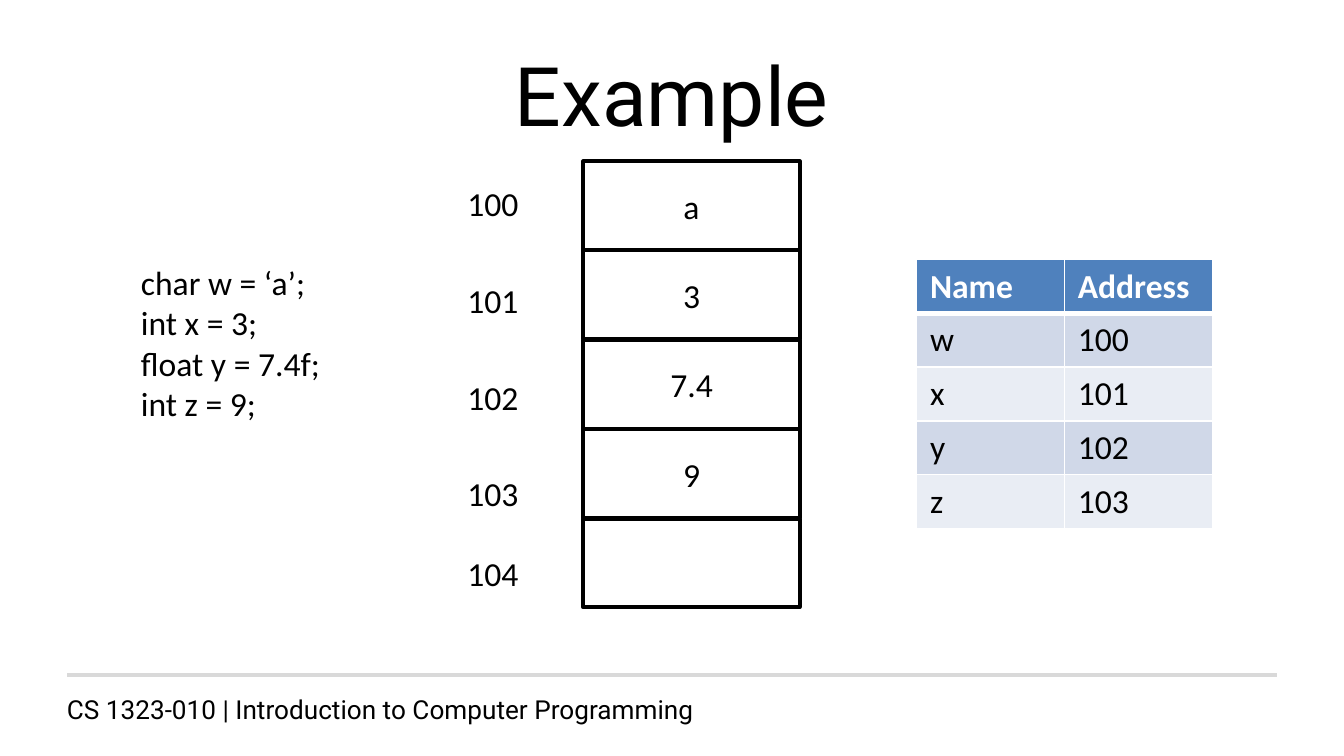
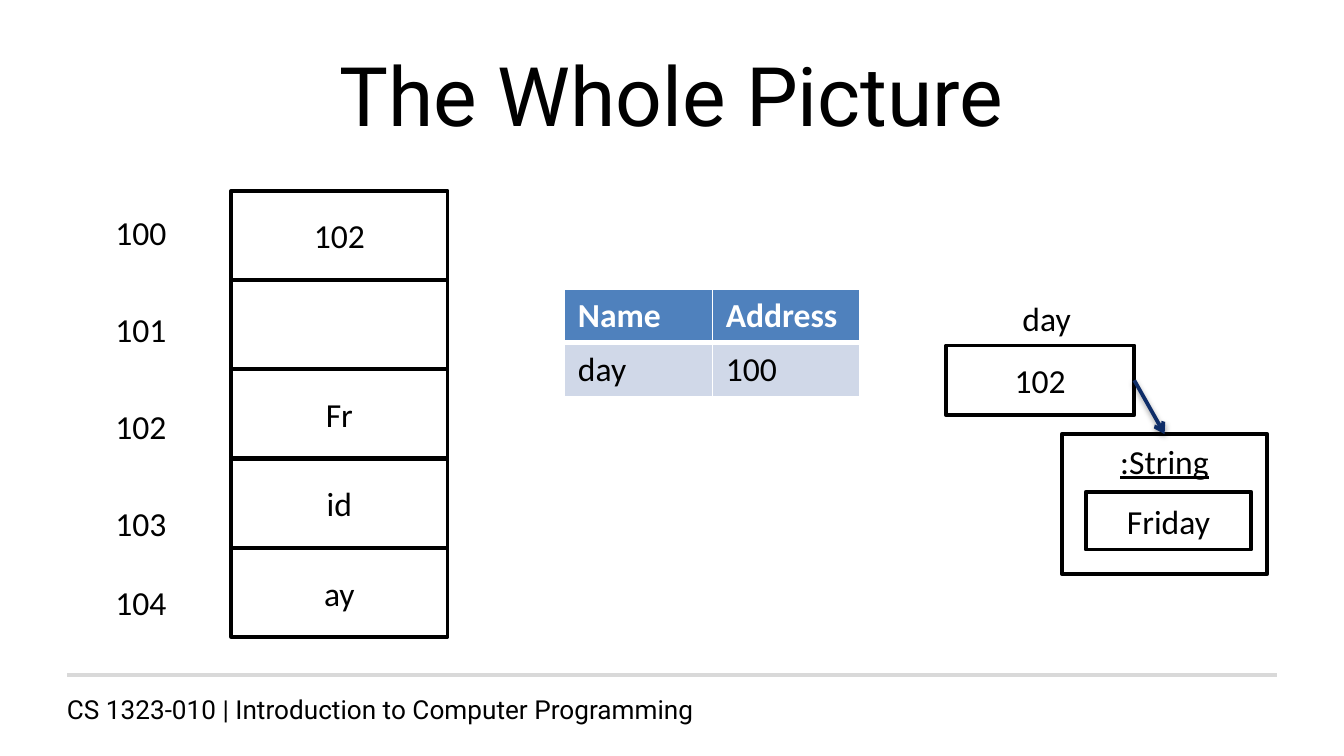
from dataclasses import dataclass

import lxml.etree
import pptx
import pptx.dml.color
import pptx.enum.shapes
import pptx.enum.text
import pptx.oxml
import pptx.oxml.ns
import pptx.presentation
import pptx.shapes.autoshape
import pptx.shapes.connector
import pptx.slide
import pptx.table
import pptx.text.text
import pptx.util

Inches = pptx.util.Inches
Pt = pptx.util.Pt
Align = pptx.enum.text.PP_ALIGN
Anchor = pptx.enum.text.MSO_ANCHOR
qn = pptx.oxml.ns.qn

BLACK, WHITE = "000000", "FFFFFF"
GREY, NAVY, BLUE = "D9D9D9", "0E2D68", "4F81BD"
BANDS = ("D0D8E8", "E9EDF4")
HEAD_FONT, BODY_FONT = "Roboto", "Calibri"
BODY_SIZE = 18
FOOTER = "CS 1323-010 | Introduction to Computer Programming"
LABELS = ("100", "101", "102", "103", "104")
CELL_WIDTH, CELL_HEIGHT = 1.61, 0.66
CELL_STEP = 2.66 / 4
COL_WIDTH, ROW_HEIGHT = 1.1, 0.4


@dataclass(frozen=True)
class Area:
    """A place on the slide, in inches."""
    left: float
    top: float
    width: float
    height: float

    def spread(self) -> list[pptx.util.Length]:
        """Return the four lengths in the order python-pptx wants."""
        return [Inches(n) for n in (self.left, self.top, self.width, self.height)]


@dataclass(frozen=True)
class Box:
    """A framed box with a short text."""
    area: Area
    text: str = ""
    anchor: Anchor = Anchor.MIDDLE
    underline: bool = False


@dataclass(frozen=True)
class Stack:
    """A column of memory cells with its address labels."""
    left: float
    top: float
    values: tuple[str, ...]


@dataclass(frozen=True)
class Grid:
    """A table of names and addresses."""
    left: float
    top: float
    rows: tuple[tuple[str, str], ...]


def shade(code: str) -> pptx.dml.color.RGBColor:
    """Turn a hex string into a colour."""
    return pptx.dml.color.RGBColor.from_string(code)


def style(para: pptx.text.text._Paragraph, size: float = BODY_SIZE,
          face: str = BODY_FONT, code: str = BLACK) -> None:
    """Set the font of a whole paragraph."""
    para.font.size = Pt(size)
    para.font.name = face
    para.font.color.rgb = shade(code)


def add_text(slide: pptx.slide.Slide, area: Area, lines: tuple[str, ...],
             size: float = BODY_SIZE, face: str = BODY_FONT,
             wrap: bool = False) -> pptx.text.text.TextFrame:
    """Add a text box with one paragraph per line."""
    frame = slide.shapes.add_textbox(*area.spread()).text_frame
    frame.word_wrap = wrap
    frame.text = "\n".join(lines)
    for para in frame.paragraphs:
        style(para, size, face)
    return frame


def add_line(slide: pptx.slide.Slide, start: tuple[float, float],
             end: tuple[float, float], code: str) -> pptx.shapes.connector.Connector:
    """Add a straight line without a shadow."""
    points = [Inches(n) for n in (*start, *end)]
    line = slide.shapes.add_connector(
        pptx.enum.shapes.MSO_CONNECTOR.STRAIGHT, *points)
    line.line.color.rgb = shade(code)
    line.line.width = Pt(2)
    lxml.etree.SubElement(line._element.spPr, qn("a:effectLst"))
    return line


def add_arrow(slide: pptx.slide.Slide, source: pptx.shapes.autoshape.Shape,
              target: pptx.shapes.autoshape.Shape) -> None:
    """Point from the right side of one box to the top of another."""
    arrow = add_line(slide, (0, 0), (1, 1), NAVY)
    arrow.begin_connect(source, 3)
    arrow.end_connect(target, 0)
    lxml.etree.SubElement(arrow.line._get_or_add_ln(), qn("a:tailEnd"), type="arrow")
    effects = arrow._element.spPr.find(qn("a:effectLst"))
    shadow = lxml.etree.SubElement(
        effects, qn("a:outerShdw"), blurRad=str(Pt(3.1)), dist=str(Pt(1.6)),
        dir="5400000", rotWithShape="0")
    tint = lxml.etree.SubElement(shadow, qn("a:srgbClr"), val=BLACK)
    lxml.etree.SubElement(tint, qn("a:alpha"), val="38000")


def add_box(slide: pptx.slide.Slide, box: Box) -> pptx.shapes.autoshape.Shape:
    """Add a white box with a black frame."""
    shape = slide.shapes.add_shape(
        pptx.enum.shapes.MSO_SHAPE.RECTANGLE, *box.area.spread())
    shape.shadow.inherit = False
    shape.fill.solid()
    shape.fill.fore_color.rgb = shade(WHITE)
    shape.line.color.rgb = shade(BLACK)
    shape.line.width = Pt(2)
    if box.text:
        frame = shape.text_frame
        frame.text = box.text
        frame.vertical_anchor = box.anchor
        para = frame.paragraphs[0]
        para.alignment = Align.CENTER
        style(para)
        if box.underline:
            para.font.underline = True
    return shape


def add_stack(slide: pptx.slide.Slide, stack: Stack) -> None:
    """Draw memory cells and the labels on their left."""
    for i, value in enumerate(stack.values):
        top = stack.top + i * CELL_STEP
        add_box(slide, Box(Area(stack.left, top, CELL_WIDTH, CELL_HEIGHT), value))
    area = Area(stack.left - 0.96, stack.top + 0.05, 0.73, 3.25)
    frame = add_text(slide, area, LABELS, wrap=True)
    *upper, last = frame.paragraphs
    for para in upper:
        para.line_spacing = 1.2
    for para in upper[1:]:
        para.space_before = Pt(26)
    last.space_before = Pt(21)


def edge(cell: pptx.table._Cell, widths: dict[str, float]) -> None:
    """Give a cell white borders of the given widths."""
    props = cell._tc.get_or_add_tcPr()
    for i, (side, width) in enumerate(widths.items()):
        line = pptx.oxml.parse_xml(
            f'<a:{side} {pptx.oxml.ns.nsdecls("a")} w="{Pt(width)}">'
            f'<a:solidFill><a:srgbClr val="{WHITE}"/></a:solidFill></a:{side}>')
        props.insert(i, line)


def add_grid(slide: pptx.slide.Slide, grid: Grid) -> None:
    """Draw a banded table under a blue header row."""
    rows = (("Name", "Address"), *grid.rows)
    area = Area(grid.left, grid.top, 2 * COL_WIDTH, len(rows) * ROW_HEIGHT)
    table = slide.shapes.add_table(len(rows), 2, *area.spread()).table
    for r, row in enumerate(rows):
        head = r == 0
        for c, text in enumerate(row):
            cell = table.cell(r, c)
            cell.text = text
            para = cell.text_frame.paragraphs[0]
            style(para, code=WHITE if head else BLACK)
            para.font.bold = head
            cell.fill.solid()
            cell.fill.fore_color.rgb = shade(BLUE if head else BANDS[(r - 1) % 2])
            edge(cell, {"lnL": 1, "lnR": 1, "lnT": 3 if r == 1 else 1,
                        "lnB": 3 if head else 1})


def add_slide(deck: pptx.presentation.Presentation, text: str) -> pptx.slide.Slide:
    """Start a slide with its title, rule and footer."""
    slide = deck.slides.add_slide(deck.slide_layouts.get_by_name("Title Only"))
    add_text(slide, Area(0.4, 5.11, 9, 0.21), (FOOTER,), 14, HEAD_FONT, True)
    add_line(slide, (0.5, 5.02), (9.5, 5.02), GREY)
    title = slide.shapes.title
    title.left, title.top, title.width, title.height = Area(0.5, 0.23, 9, 0.94).spread()
    title.text_frame.text = text
    title.text_frame.vertical_anchor = Anchor.MIDDLE
    para = title.text_frame.paragraphs[0]
    para.alignment = Align.CENTER
    style(para, 44, HEAD_FONT)
    return slide


def draw_sample(deck: pptx.presentation.Presentation) -> None:
    """Show four simple values in memory."""
    slide = add_slide(deck, "Example")
    add_stack(slide, Stack(4.34, 1.2, ("a", "3", "7.4", "9", "")))
    add_text(slide, Area(0.95, 1.9, 1.55, 1.31),
             ("char w = ‘a’;", "int x = 3;", "float y = 7.4f;", "int z = 9;"))
    add_grid(slide, Grid(6.82, 1.93, tuple(zip("wxyz", LABELS))))


def draw_whole(deck: pptx.presentation.Presentation) -> None:
    """Show a string object in memory and as a diagram."""
    slide = add_slide(deck, "The Whole Picture")
    day = add_box(slide, Box(Area(7.04, 2.57, 1.4, 0.52), "102"))
    add_text(slide, Area(7.51, 2.17, 0.57, 0.4), ("day",))
    string = add_box(slide, Box(Area(7.9, 3.23, 1.53, 1.04), ":String",
                                Anchor.TOP, True))
    add_arrow(slide, day, string)
    add_box(slide, Box(Area(8.08, 3.66, 1.23, 0.43), "Friday"))
    add_stack(slide, Stack(1.72, 1.42, ("102", "", "Fr", "id", "ay")))
    add_grid(slide, Grid(4.2, 2.15, (("day", "100"),)))


def main() -> None:
    """Build and save the deck in the 16:9 format."""
    deck = pptx.Presentation()
    deck.slide_width = Inches(10)
    deck.slide_height = Inches(10 * 9 / 16)
    draw_sample(deck)
    draw_whole(deck)
    deck.save("out.pptx")


main()
